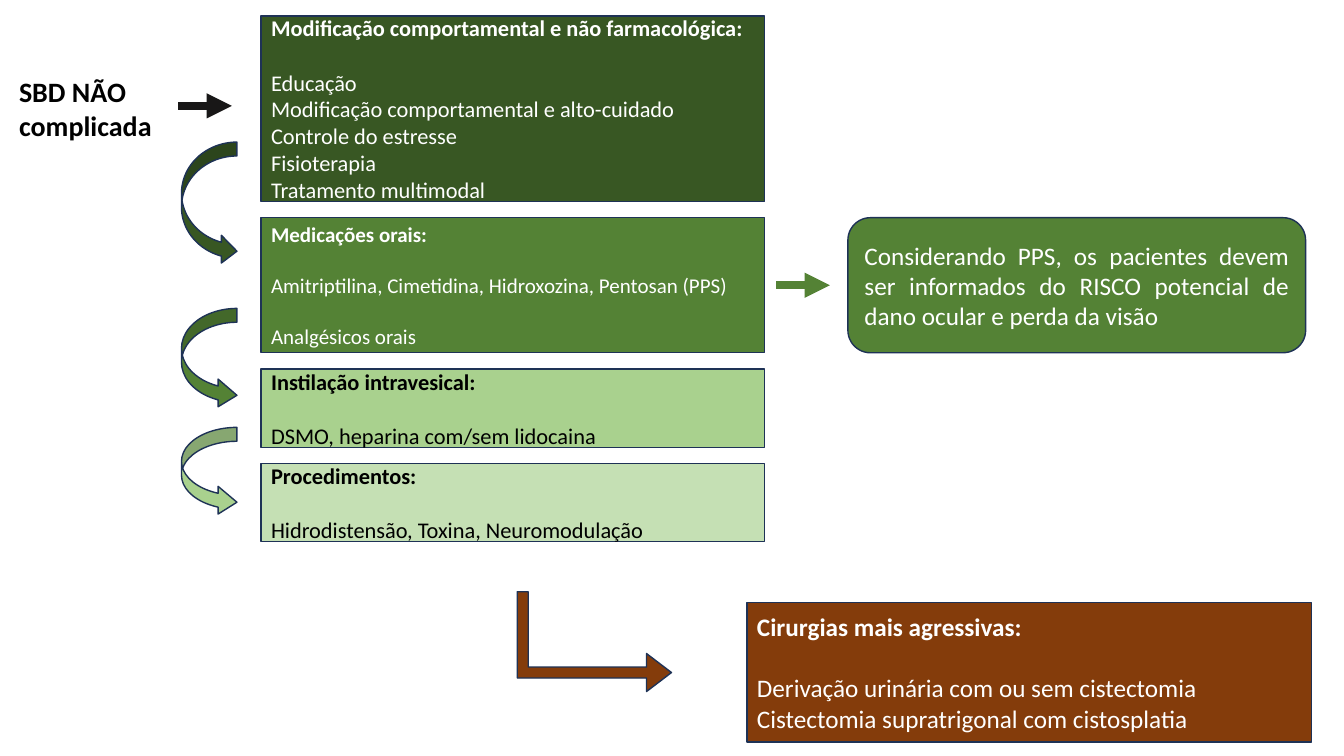
import dataclasses

import lxml.etree
import pptx
import pptx.dml.color
import pptx.enum.shapes
import pptx.enum.text
import pptx.oxml.ns
import pptx.util

Inches = pptx.util.Inches
Pt = pptx.util.Pt
SHAPES = pptx.enum.shapes.MSO_SHAPE
ALIGN = pptx.enum.text.PP_ALIGN
MIDDLE = pptx.enum.text.MSO_ANCHOR.MIDDLE


@dataclasses.dataclass(frozen=True)
class Theme:
    font: str = "Calibri"
    black: str = "000000"
    white: str = "FFFFFF"
    outline: str = "1E3256"
    start_arrow: str = "181717"
    forest: str = "385723"
    green: str = "548235"
    light_green: str = "A9D18E"
    pale_green: str = "C5E0B4"
    brown: str = "843C0B"
    label: int = 20
    large: int = 18
    body: int = 16
    small: int = 15


THEME = Theme()
LINE_HEIGHT = 1.22

STEP_LEFT, STEP_WIDTH, STEP_TOP, STEP_GAP = 2.59, 4.99, 0.16, 0.16
# Each step: height, fill, text colour, size, heading, groups of lines
STEPS = [
    (1.84, THEME.forest, THEME.white, THEME.body,
     "Modificação comportamental e não farmacológica:",
     [["Educação", "Modificação comportamental e alto-cuidado",
       "Controle do estresse", "Fisioterapia", "Tratamento multimodal"]]),
    (1.34, THEME.green, THEME.white, THEME.small, "Medicações orais:",
     [["Amitriptilina, Cimetidina, Hidroxozina, Pentosan (PPS)"],
      ["Analgésicos orais"]]),
    (0.78, THEME.light_green, THEME.black, THEME.body,
     "Instilação intravesical:", [["DSMO, heparina com/sem lidocaina"]]),
    (0.77, THEME.pale_green, THEME.black, THEME.body,
     "Procedimentos:", [["Hidrodistensão, Toxina, Neuromodulação"]]),
]
# Each curved arrow: top, height, fill, head length
CURVED_ARROWS = [
    (1.41, 1.22, THEME.forest, 0.28),
    (3.06, 1.00, THEME.green, 0.34),
    (4.24, 0.88, THEME.light_green, 0.34),
]


def rgb(colour):
    return pptx.dml.color.RGBColor.from_string(colour)


def add_run(paragraph, text, size, colour, bold=False):
    run = paragraph.add_run()
    run.text = text
    run.font.name = THEME.font
    run.font.size = Pt(size)
    run.font.bold = bold
    run.font.color.rgb = rgb(colour)


def add_figure(slide, kind, box, fill, adjustments=()):
    figure = slide.shapes.add_shape(kind, *map(Inches, box))
    figure.shadow.inherit = False
    figure.fill.solid()
    figure.fill.fore_color.rgb = rgb(fill)
    figure.line.color.rgb = rgb(THEME.outline)
    figure.line.width = Pt(1)
    for index, value in enumerate(adjustments):
        figure.adjustments[index] = value
    return figure


def add_treatment(slide, box, fill, colour, size, heading, groups):
    """Box with a bold heading and groups of lines set one line apart."""
    frame = add_figure(slide, SHAPES.RECTANGLE, box, fill).text_frame
    frame.word_wrap = True
    frame.vertical_anchor = MIDDLE
    frame.paragraphs[0].alignment = ALIGN.LEFT
    add_run(frame.paragraphs[0], heading, size, colour, bold=True)
    for group in groups:
        for index, line in enumerate(group):
            paragraph = frame.add_paragraph()
            paragraph.alignment = ALIGN.LEFT
            if index == 0:
                paragraph.space_before = Pt(round(size * LINE_HEIGHT, 1))
            add_run(paragraph, line, size, colour)


def add_arrow(slide, left, right, y, colour):
    arrow = slide.shapes.add_connector(
        pptx.enum.shapes.MSO_CONNECTOR.STRAIGHT,
        Inches(left), Inches(y), Inches(right), Inches(y))
    arrow.line.color.rgb = rgb(colour)
    arrow.line.width = Pt(6)
    qn = pptx.oxml.ns.qn
    properties = arrow.element.spPr
    lxml.etree.SubElement(properties.find(qn("a:ln")), qn("a:tailEnd"), type="triangle")
    lxml.etree.SubElement(properties, qn("a:effectLst"))


def add_label(slide, box, text):
    frame = slide.shapes.add_textbox(*map(Inches, box)).text_frame
    frame.word_wrap = True
    add_run(frame.paragraphs[0], text, THEME.label, THEME.black, bold=True)


def add_warning(slide, box, text):
    frame = add_figure(slide, SHAPES.ROUNDED_RECTANGLE, box, THEME.green).text_frame
    frame.word_wrap = True
    frame.vertical_anchor = MIDDLE
    frame.paragraphs[0].alignment = ALIGN.JUSTIFY
    add_run(frame.paragraphs[0], text, THEME.large, THEME.white)


def main():
    deck = pptx.Presentation()
    deck.slide_width = Inches(13.33)
    deck.slide_height = Inches(7.5)
    slide = deck.slides.add_slide(deck.slide_layouts[6])

    # Starting point
    add_label(slide, (0.09, 0.69, 2.48, 0.77), "SBD NÃO complicada")
    add_arrow(slide, 1.77, 2.3, 1.05, THEME.start_arrow)

    # Treatment ladder
    top = STEP_TOP
    for height, *content in STEPS:
        add_treatment(slide, (STEP_LEFT, top, STEP_WIDTH, height), *content)
        top += height + STEP_GAP
    for arrow_top, height, fill, head in CURVED_ARROWS:
        add_figure(slide, SHAPES.CURVED_RIGHT_ARROW,
                   (1.8, arrow_top, 0.55, height), fill, (0.25, 0.5, head))

    # Warning about the oral medication
    add_arrow(slide, 7.7, 8.23, 2.83, THEME.green)
    add_warning(slide, (8.41, 2.16, 4.54, 1.34),
                "Considerando PPS, os pacientes devem ser informados do RISCO "
                "potencial de dano ocular e perda da visão")

    # Surgery as the last resort
    surgery_arrow = add_figure(slide, SHAPES.BENT_UP_ARROW, (5.4, 5.6, 0.99, 1.53),
                               THEME.brown, (0.11, 0.19, 0.25))
    surgery_arrow.rotation = 90
    add_treatment(slide, (7.41, 5.98, 5.6, 1.38), THEME.brown, THEME.white,
                  THEME.large, "Cirurgias mais agressivas:",
                  [["Derivação urinária com ou sem cistectomia",
                    "Cistectomia supratrigonal com cistosplatia"]])

    deck.save("out.pptx")


if __name__ == "__main__":
    main()
